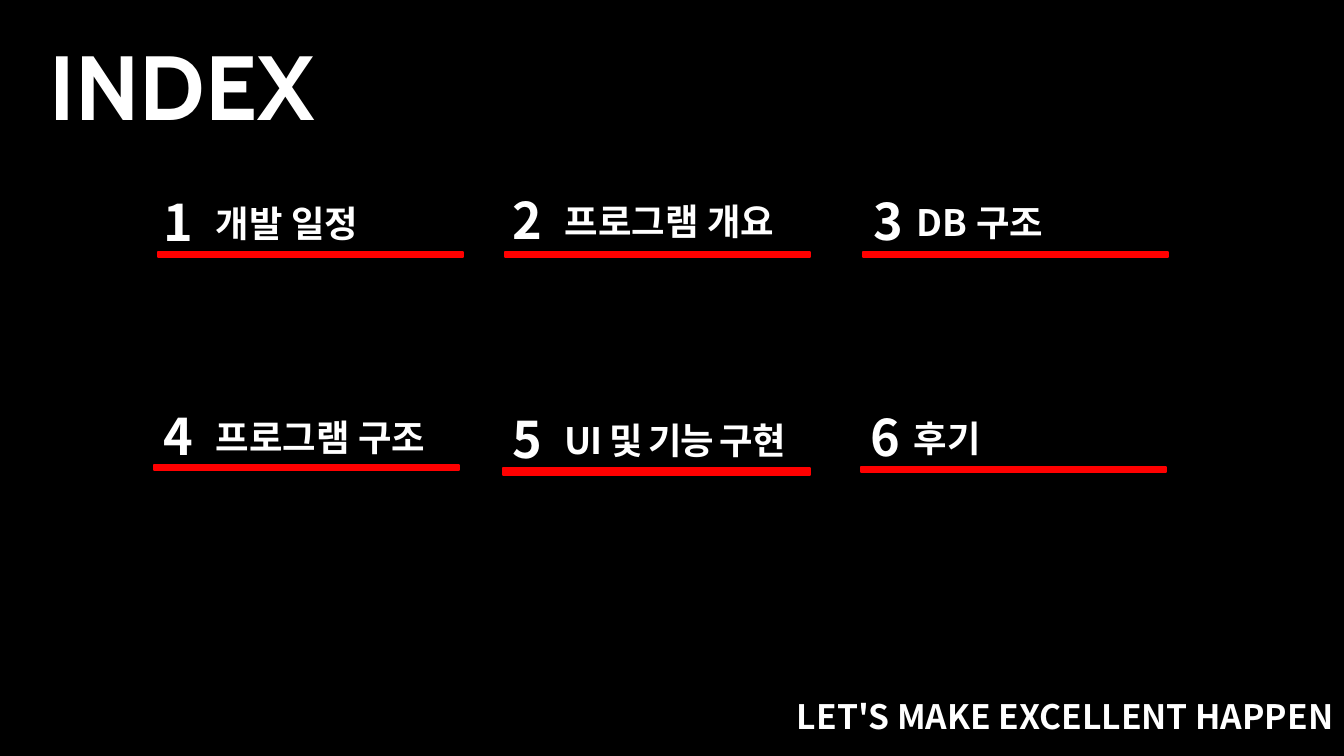
from pptx import Presentation
from pptx import util as u
from pptx.dml.color import RGBColor
from pptx.enum import shapes
from pptx.oxml.ns import qn
from lxml import etree

BLACK = RGBColor(0, 0, 0)
WHITE = RGBColor(255, 255, 255)
RED = RGBColor(255, 0, 0)
SANS = "Noto Sans CJK KR"

TITLE = "INDEX"
MOTTO = "LET'S MAKE EXCELLENT HAPPEN"
# label, number (x, y), label (gap, width), spacing, bar (x, y, w, h)
ITEMS = [
    ("개발 일정", (154, 186), (52, 207), 0, (158, 252, 305, 5)),
    ("프로그램 개요", (503, 184), (52, 265), 0, (505, 252, 305, 5)),
    ("DB 구조", (864, 185), (43, 207), 0, (863, 252, 305, 5)),
    ("프로그램 구조", (154, 400), (52, 265), 0, (154, 465, 305, 5)),
    ("UI 및 기능 구현", (503, 403), (52, 278), -1, (503, 468, 307, 7)),
    ("후기", (861, 401), (43, 207), 0, (861, 467, 305, 5)),
]
DROP = 10


def px(n):
    return u.Emu(round(n * 914400 / 100.8))


def rect(slide, box, color):
    shape = slide.shapes.add_shape(shapes.MSO_SHAPE.RECTANGLE, *map(px, box))
    shape.shadow.inherit = False
    shape.fill.solid()
    shape.fill.fore_color.rgb = color
    shape.line.color.rgb = color
    shape.line.width = u.Pt(1)


def write(slide, box, words, size, face=SANS, wrap=True, gap=0):
    frame = slide.shapes.add_textbox(*map(px, box)).text_frame
    frame.word_wrap = wrap
    frame.text = words
    run = frame.paragraphs[0].runs[0]
    run.font.size = u.Pt(size)
    run.font.bold = True
    run.font.color.rgb = WHITE
    run.font.name = face
    props = run.font._element
    etree.SubElement(props, qn("a:ea")).set("typeface", face)
    if gap:
        props.set("spc", str(gap * 100))


def main():
    deck = Presentation()
    deck.slide_width, deck.slide_height = px(1344), px(756)
    slide = deck.slides.add_slide(deck.slide_layouts[6])
    rect(slide, (0, 0, 1354, 1022), BLACK)
    write(slide, (40, 25, 290, 120), TITLE, 65, "Cabin", False)
    for num, (label, (x, y), (step, wide), gap, bar) in enumerate(ITEMS, 1):
        rect(slide, bar, RED)
        write(slide, (x, y, 52, 72), str(num), 36)
        write(slide, (x + step, y + DROP, wide, 54), label, 26, gap=gap)
    write(slide, (787, 691, 627, 50), MOTTO, 24)
    deck.save("out.pptx")


if __name__ == "__main__":
    main()
